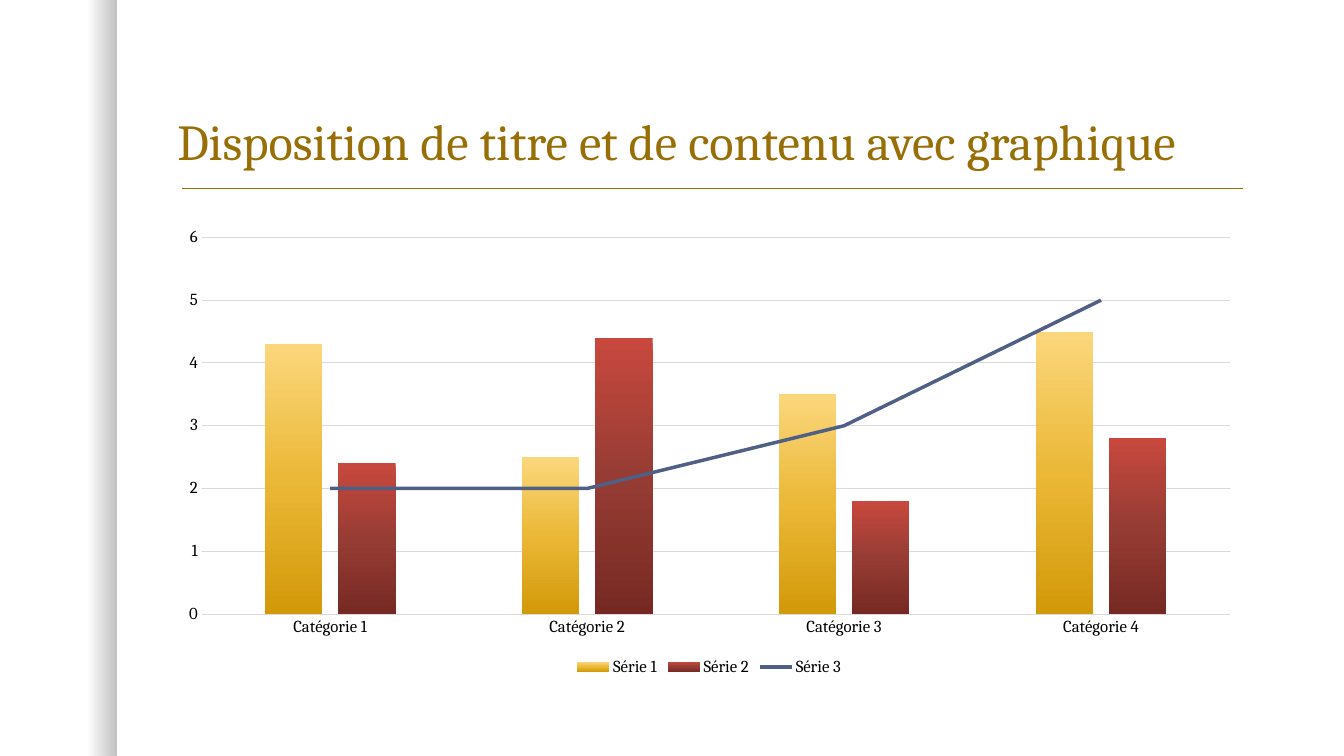
from lxml import etree
from pptx import Presentation
from pptx.chart.data import CategoryChartData
from pptx.dml.color import RGBColor
from pptx.enum import chart as chart_enum, shapes, text
from pptx.oxml import parse_xml
from pptx.oxml.ns import nsdecls, qn
from pptx.util import Inches, Pt

COLORS = {
    "title": "986F07",
    "shadow": "000000",
    "grid": "D9D9D9",
    "text": "000000",
    "trend": "506084",
}
FONT = "Cambria"
# Gradient stops: position in percent, colour, opacity in percent
EDGE_STOPS = [(75, COLORS["shadow"], 0), (100, COLORS["shadow"], 25)]
BAR_STOPS = [
    [(0, "FBD77C", 100), (50, "EBB837", 100), (100, "D29909", 100)],
    [(0, "C8483E", 100), (50, "963C34", 100), (100, "762923", 100)],
]


def color(name):
    return RGBColor.from_string(COLORS[name])


def set_gradient(fill, properties, stops, angle):
    fill.background()
    stop_xml = "".join(
        f'<a:gs pos="{position * 1000}"><a:srgbClr val="{value}">'
        f'<a:alpha val="{opacity * 1000}"/></a:srgbClr></a:gs>'
        for position, value, opacity in stops
    )
    gradient = parse_xml(
        f'<a:gradFill {nsdecls("a")} rotWithShape="1"><a:gsLst>{stop_xml}</a:gsLst>'
        f'<a:lin ang="{angle * 60000}" scaled="0"/></a:gradFill>'
    )
    properties.replace(properties.find(qn("a:noFill")), gradient)


presentation = Presentation()
presentation.slide_width = Inches(13.33)
presentation.slide_height = Inches(7.5)
slide = presentation.slides.add_slide(presentation.slide_layouts[6])

# Shaded left edge
edge = slide.shapes.add_shape(
    shapes.MSO_SHAPE.RECTANGLE, 0, 0, Inches(1.16), Inches(7.5)
)
edge.shadow.inherit = False
edge.line.fill.background()
set_gradient(edge.fill, edge._element.spPr, EDGE_STOPS, 0)

# Rule under the title
rule = slide.shapes.add_connector(
    shapes.MSO_CONNECTOR.STRAIGHT,
    Inches(1.81), Inches(1.87), Inches(12.33), Inches(1.87),
)
rule.line.color.rgb = color("title")
rule.line.width = Pt(1)
etree.SubElement(rule._element.spPr, qn("a:effectLst"))

# Title
title = slide.shapes.add_textbox(
    Inches(1.66), Inches(0.42), Inches(10.75), Inches(1.33)
)
title.text_frame.word_wrap = True
title.text_frame.vertical_anchor = text.MSO_ANCHOR.BOTTOM
title.text_frame.text = "Disposition de titre et de contenu avec graphique"
paragraph = title.text_frame.paragraphs[0]
paragraph.line_spacing = 0.9
paragraph.font.size = Pt(36)
paragraph.font.name = FONT
paragraph.font.color.rgb = color("title")

# Chart
data = CategoryChartData()
data.categories = [f"Catégorie {number}" for number in range(1, 5)]
data.add_series("Série 1", (4.3, 2.5, 3.5, 4.5))
data.add_series("Série 2", (2.4, 4.4, 1.8, 2.8))
data.add_series("Série 3", (2, 2, 3, 5))
chart = slide.shapes.add_chart(
    chart_enum.XL_CHART_TYPE.COLUMN_CLUSTERED,
    Inches(1.66), Inches(2.17), Inches(10.75), Inches(4.58), data,
).chart
chart.has_title = False
chart.font.size = Pt(12)
chart.font.name = FONT
chart.font.color.rgb = color("text")
chart.has_legend = True
chart.legend.position = chart_enum.XL_LEGEND_POSITION.BOTTOM
chart.legend.include_in_layout = False

# Axes
for axis in (chart.category_axis, chart.value_axis):
    axis.major_tick_mark = chart_enum.XL_TICK_MARK.NONE
    axis.minor_tick_mark = chart_enum.XL_TICK_MARK.NONE
chart.value_axis.minimum_scale = 0
chart.value_axis.maximum_scale = 6
chart.value_axis.major_unit = 1
chart.value_axis.format.line.fill.background()
chart.value_axis.has_major_gridlines = True
for line in (
    chart.category_axis.format.line,
    chart.value_axis.major_gridlines.format.line,
):
    line.color.rgb = color("grid")
    line.width = Pt(0.75)

# Move the third series to a line plot on the same axes
bars = chart.plots[0]
bars.gap_width = 219
bars.overlap = -27
bars.vary_by_categories = False
bar_chart = bars._element
trend_element = bar_chart.findall(qn("c:ser"))[2]
for bar_setting in trend_element.findall(qn("c:invertIfNegative")):
    trend_element.remove(bar_setting)
line_chart = parse_xml(
    f'<c:lineChart {nsdecls("c")}><c:grouping val="standard"/>'
    '<c:varyColors val="0"/><c:marker val="1"/></c:lineChart>'
)
line_chart.insert(2, trend_element)
for axis_id in bar_chart.findall(qn("c:axId")):
    etree.SubElement(line_chart, qn("c:axId"), val=axis_id.get("val"))
bar_chart.addnext(line_chart)

# Series colours
for series, stops in zip(bars.series, BAR_STOPS):
    fill = series.format.fill
    set_gradient(fill, series._element.find(qn("c:spPr")), stops, 90)
trend = chart.plots[1].series[0]
trend.smooth = False
trend.marker.style = chart_enum.XL_MARKER_STYLE.NONE
trend.format.line.color.rgb = color("trend")
trend.format.line.width = Pt(2.5)

presentation.save("out.pptx")
